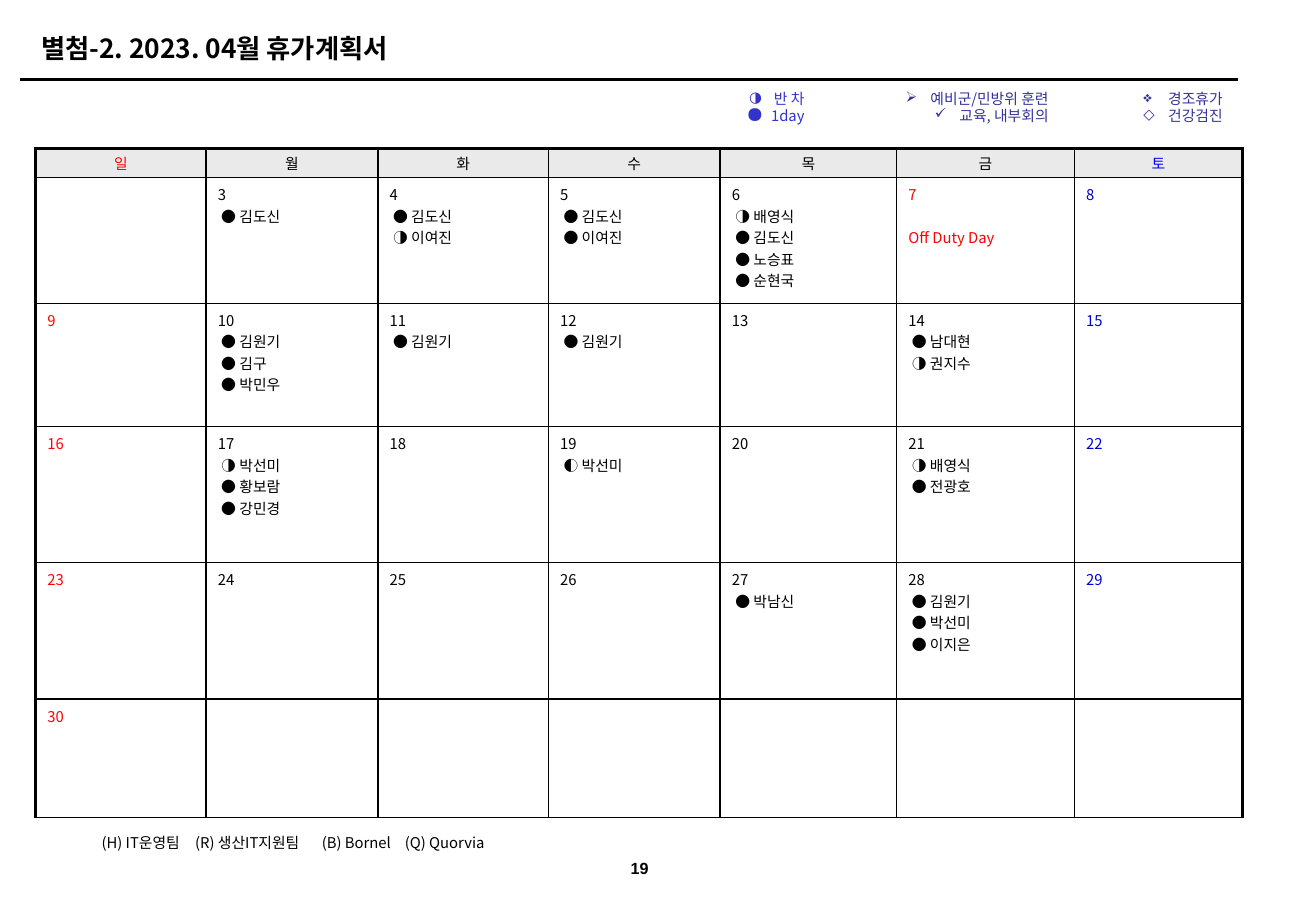
from dataclasses import dataclass

from lxml import etree
from pptx import Presentation
from pptx import util as u
from pptx.dml.color import RGBColor
from pptx.enum import shapes, text
from pptx.oxml import ns


@dataclass(frozen=True)
class Theme:
    font: str = "Noto Sans CJK KR"
    number_font: str = "Arial"
    black: str = "000000"
    red: str = "FF0000"
    header_blue: str = "0000FF"
    saturday_blue: str = "0000CC"
    legend_blue: str = "3333CC"
    legend_indigo: str = "333399"
    header_fill: str = "EAEAEA"
    title_size: float = 16
    body_size: float = 9
    number_size: float = 9.8


THEME = Theme()
WEEKDAYS = "일월화수목금토"
COLUMN_WIDTHS = [1.44, 1.45, 1.44, 1.45, 1.49, 1.5, 1.42]
ROW_HEIGHTS = [0.25, 1.06, 1.04, 1.15, 1.15, 1]
FIRST_SUNDAY, FIRST_SHOWN, LAST_DAY, HOLIDAY = 2, 3, 30, 7

LEAVE = {
    3: ["● 김도신"],
    4: ["● 김도신", "◑ 이여진"],
    5: ["● 김도신", "● 이여진"],
    6: ["◑ 배영식", "● 김도신", "● 노승표", "● 순현국"],
    10: ["● 김원기", "● 김구", "● 박민우"],
    11: ["● 김원기"],
    12: ["● 김원기"],
    14: ["● 남대현", "◑ 권지수"],
    17: ["◑ 박선미", "● 황보람", "● 강민경"],
    19: ["◐ 박선미"],
    21: ["◑ 배영식", "● 전광호"],
    27: ["● 박남신"],
    28: ["● 김원기", "● 박선미", "● 이지은"],
}

# Each legend: box, colour, wrapping, then (bullet, bullet size in %, label)
LEGENDS = [
    ((6.17, 0.72, 0.72, 0.4), THEME.legend_blue, False,
     [("◑", 100, "반 차"), ("●", 150, "1day")]),
    ((7.37, 0.72, 1.58, 0.4), THEME.legend_indigo, True,
     [("➢", 100, "예비군/민방위 훈련"), ("✓", 100, "교육, 내부회의")]),
    ((8.59, 0.72, 1.83, 0.4), THEME.legend_indigo, True,
     [("❖", 100, "경조휴가"), ("◇", 100, "건강검진")]),
]


def add_xml(parent, tag, **attributes):
    return etree.SubElement(parent, ns.qn(tag), attributes)


def format_runs(paragraph, color, size=THEME.body_size, bold=False, name=THEME.font):
    for run in paragraph.runs:
        run.font.name = name
        run.font.size = u.Pt(size)
        run.font.bold = bold
        run.font.color.rgb = RGBColor.from_string(color)
        add_xml(run.font._element, "a:ea", typeface=name)


def add_text_box(slide, box, wrap=True, anchor=text.MSO_ANCHOR.TOP):
    frame = slide.shapes.add_textbox(*map(u.Inches, box)).text_frame
    frame.word_wrap = wrap
    frame.vertical_anchor = anchor
    return frame


def add_heading(slide, box):
    left, top, width, height = box
    # Title
    frame = add_text_box(slide, (left + 0.08, top, width - 0.38, 0.37),
                         anchor=text.MSO_ANCHOR.MIDDLE)
    frame.text = "별첨-2. 2023. 04월 휴가계획서"
    format_runs(frame.paragraphs[0], THEME.black, THEME.title_size, bold=True)
    # Rule below the title
    bottom = u.Inches(top + height)
    rule = slide.shapes.add_connector(shapes.MSO_CONNECTOR.STRAIGHT, u.Inches(left),
                                      bottom, u.Inches(left + width), bottom)
    rule.line.color.rgb = RGBColor.from_string(THEME.black)
    rule.line.width = u.Pt(1.5)
    add_xml(rule._element.spPr, "a:effectLst")


def add_legend(slide, box, color, wrap, entries):
    frame = add_text_box(slide, box, wrap)
    frame.text = "\n".join(label for _, _, label in entries)
    for paragraph, (bullet, percent, _) in zip(frame.paragraphs, entries):
        properties = paragraph._p.get_or_add_pPr()
        properties.set("marL", str(u.Inches(0.21)))
        properties.set("indent", str(-u.Inches(0.21)))
        add_xml(add_xml(properties, "a:buClr"), "a:srgbClr", val=color)
        add_xml(properties, "a:buSzPct", val=str(percent * 1000))
        add_xml(properties, "a:buChar", char=bullet)
        paragraph.alignment = text.PP_ALIGN.RIGHT
        paragraph.line_spacing = 0.95
        format_runs(paragraph, color)


def set_borders(cell, widths):
    properties = cell._tc.get_or_add_tcPr()
    for position, (side, width) in enumerate(zip("LRTB", widths)):
        line = etree.Element(ns.qn(f"a:ln{side}"), w=str(u.Pt(width)))
        add_xml(add_xml(line, "a:solidFill"), "a:srgbClr", val=THEME.black)
        properties.insert(position, line)


def fill_header_cell(cell, column):
    cell.text_frame.text = WEEKDAYS[column]
    cell.vertical_anchor = text.MSO_ANCHOR.MIDDLE
    cell.margin_top = cell.margin_bottom = u.Inches(0.03)
    cell.fill.solid()
    cell.fill.fore_color.rgb = RGBColor.from_string(THEME.header_fill)
    paragraph = cell.text_frame.paragraphs[0]
    paragraph.alignment = text.PP_ALIGN.CENTER
    format_runs(paragraph, {0: THEME.red, 6: THEME.header_blue}.get(column, THEME.black))


def fill_day_cell(cell, day, column):
    cell.fill.background()
    if not FIRST_SHOWN <= day <= LAST_DAY:
        return
    color = {0: THEME.red, 6: THEME.saturday_blue}.get(column, THEME.black)
    lines = [str(day)] + [f" {entry}" for entry in LEAVE.get(day, [])]
    if day == HOLIDAY:
        color = THEME.red
        lines.append("Off Duty Day")
    cell.text_frame.text = "\n".join(lines)
    for paragraph in cell.text_frame.paragraphs:
        format_runs(paragraph, color)
    if day == HOLIDAY:
        cell.text_frame.paragraphs[-1].space_before = u.Pt(13)


def add_calendar(slide, box):
    table = slide.shapes.add_table(len(ROW_HEIGHTS), len(COLUMN_WIDTHS),
                                   *map(u.Inches, box)).table
    table.first_row = table.horz_banding = False
    for column, width in zip(table.columns, COLUMN_WIDTHS):
        column.width = u.Inches(width)
    last = len(COLUMN_WIDTHS) - 1
    for week, height in enumerate(ROW_HEIGHTS):
        table.rows[week].height = u.Inches(height)
        for column in range(last + 1):
            cell = table.cell(week, column)
            if week == 0:
                fill_header_cell(cell, column)
            else:
                fill_day_cell(cell, FIRST_SUNDAY + 7 * (week - 1) + column, column)
            set_borders(cell, (2 if column == 0 else 1, 2 if column == last else 1,
                               2 if week == 0 else 1, 1))


def add_footer(slide, box):
    left, top, width, height = box
    # Team codes, spaced by tab stops
    frame = add_text_box(slide, (left, top, width, 0.24), anchor=text.MSO_ANCHOR.MIDDLE)
    frame.text = "(H) IT운영팀\t(R) 생산IT지원팀\t(B) Bornel\t(Q) Quorvia"
    paragraph = frame.paragraphs[0]
    tabs = add_xml(paragraph._p.get_or_add_pPr(), "a:tabLst")
    for position in (0.79, 1.86, 2.56):
        add_xml(tabs, "a:tab", pos=str(u.Inches(position)), algn="l")
    paragraph.line_spacing = 0.95
    format_runs(paragraph, THEME.black)
    # Page number
    frame = add_text_box(slide, (left + 4.37, top + height - 0.31, 0.54, 0.31),
                         wrap=False, anchor=text.MSO_ANCHOR.MIDDLE)
    frame.text = "19"
    frame.paragraphs[0].alignment = text.PP_ALIGN.CENTER
    format_runs(frame.paragraphs[0], THEME.black, THEME.number_size, True, THEME.number_font)


def main():
    presentation = Presentation()
    presentation.slide_width = u.Inches(11.11)
    presentation.slide_height = u.Inches(7.57)
    slide = presentation.slides.add_slide(presentation.slide_layouts[6])
    add_heading(slide, (0.17, 0.22, 10.28, 0.45))
    for legend in LEGENDS:
        add_legend(slide, *legend)
    add_calendar(slide, (0.3, 1.25, sum(COLUMN_WIDTHS), sum(ROW_HEIGHTS)))
    add_footer(slide, (0.76, 7, 3.6, 0.48))
    presentation.save("out.pptx")


if __name__ == "__main__":
    main()
